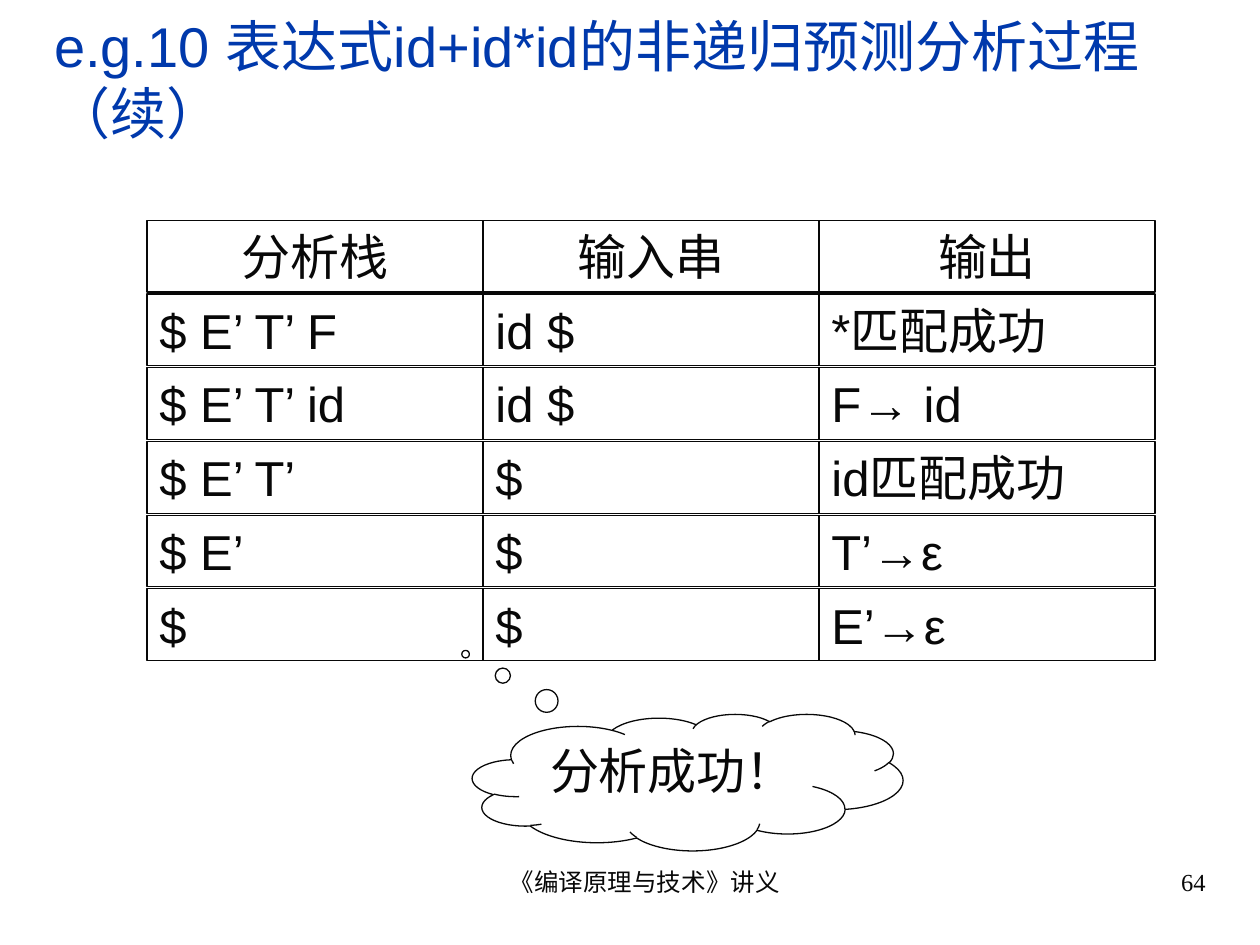
from pptx import Presentation
from pptx.dml.color import RGBColor
from pptx.enum import shapes, text
from pptx.util import Pt

COLORS = {"title": "0039AC", "ink": "080808"}


def write(frame, words, size, font="Arial", color="ink", align=text.PP_ALIGN.LEFT):
    frame.word_wrap = True
    para = frame.paragraphs[0]
    para.alignment = align
    span = para.add_run()
    span.text = words
    span.font.size = Pt(size)
    span.font.name = font
    span.font.color.rgb = RGBColor.from_string(COLORS[color])
    return para


def add_outline(parent, kind, left, top, width, height):
    shape = parent.add_shape(kind, Pt(left), Pt(top), Pt(width), Pt(height))
    shape.shadow.inherit = False
    shape.fill.background()
    shape.line.color.rgb = RGBColor.from_string(COLORS["ink"])
    shape.line.width = Pt(0.75)
    shape.text_frame.vertical_anchor = text.MSO_ANCHOR.TOP
    return shape


deck = Presentation()
deck.slide_width, deck.slide_height = Pt(720), Pt(540)
page = deck.slides.add_slide(deck.slide_layouts[5])

# Title
title = page.shapes.title
title.left, title.top, title.width, title.height = Pt(23.75), Pt(18), Pt(672.5), Pt(54)
title.text_frame.auto_size = text.MSO_AUTO_SIZE.NONE
title.text_frame.vertical_anchor = text.MSO_ANCHOR.MIDDLE
write(title.text_frame, "e.g.10 表达式id+id*id的非递归预测分析过程（续）", 32, color="title")

# Parsing steps: one group of separate boxes per row
STEPS = [
    ("分析栈", "输入串", "输出"),
    ("$ E’ T’ F", "id $", "*匹配成功"),
    ("$ E’ T’ id", "id $", "F→ id"),
    ("$ E’ T’", "$", "id匹配成功"),
    ("$ E’", "$", "T’→ε"),
    ("$", "$", "E’→ε"),
]
for r, step in enumerate(STEPS):
    row = page.shapes.add_group_shape()
    for c, words in enumerate(step):
        box = add_outline(row.shapes, shapes.MSO_SHAPE.RECTANGLE,
                          84 + 192 * c, 126 + 42.1 * r, 192, 41)
        box.text_frame.auto_size = text.MSO_AUTO_SIZE.SHAPE_TO_FIT_TEXT
        align = text.PP_ALIGN.LEFT if r else text.PP_ALIGN.CENTER
        write(box.text_frame, words, 28, align=align)

# Success thought bubble
cloud = add_outline(page.shapes, shapes.MSO_SHAPE.CLOUD_CALLOUT, 270, 408, 246, 78)
cloud.adjustments[0], cloud.adjustments[1] = -0.516, -0.938
write(cloud.text_frame, "分析成功！", 28, align=text.PP_ALIGN.CENTER)

# Footer and page number
for words, left, width, align in [
    ("《编译原理与技术》讲义", 246, 228, text.PP_ALIGN.CENTER),
    ("64", 516, 180, text.PP_ALIGN.RIGHT),
]:
    box = page.shapes.add_textbox(Pt(left), Pt(492), Pt(width), Pt(37.5))
    para = write(box.text_frame, words, 14, "Times New Roman", align=align)
    para._p.get_or_add_pPr().set("marL", str(Pt(17)))

deck.save("out.pptx")
